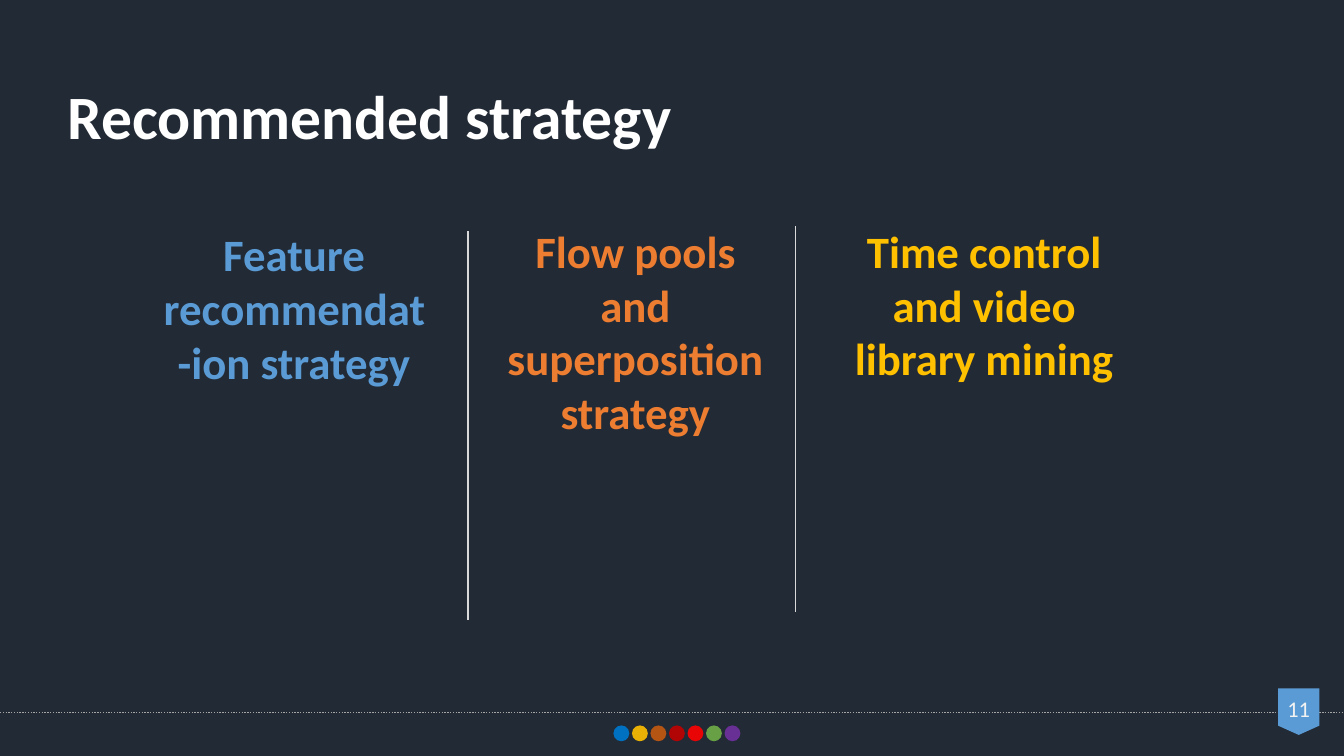
import pptx
import pptx.dml.color
import pptx.enum.dml
import pptx.enum.shapes
import pptx.enum.text
import pptx.oxml.ns
import pptx.util
from lxml import etree

Cm = pptx.util.Cm
Pt = pptx.util.Pt
RGBColor = pptx.dml.color.RGBColor
Shape = pptx.enum.shapes.MSO_SHAPE
Align = pptx.enum.text.PP_ALIGN
qn = pptx.oxml.ns.qn

NIGHT = RGBColor(0x22, 0x2A, 0x35)
WHITE = RGBColor(0xFF, 0xFF, 0xFF)
PALE = RGBColor(0xF2, 0xF2, 0xF2)
LIGHT_GREY = RGBColor(0xD9, 0xD9, 0xD9)
GREY = RGBColor(0xA6, 0xA6, 0xA6)
SKY = RGBColor(0x5B, 0x9B, 0xD5)
ORANGE = RGBColor(0xED, 0x7D, 0x31)
GOLD = RGBColor(0xFF, 0xC0, 0x00)
BLUE = RGBColor(0x00, 0x70, 0xC0)
RUST = RGBColor(0xC5, 0x5A, 0x11)
DARK_RED = RGBColor(0xC0, 0x00, 0x00)
RED = RGBColor(0xFF, 0x00, 0x00)
GREEN = RGBColor(0x70, 0xAD, 0x47)
PURPLE = RGBColor(0x70, 0x30, 0xA0)


class Painter:
    """Holds the type style and the page being drawn."""

    font_name = "Calibri"

    def __init__(self, page):
        self.page = page

    def line(self, left, top, right, bottom, color, dash=None):
        line = self.page.shapes.add_connector(
            pptx.enum.shapes.MSO_CONNECTOR.STRAIGHT,
            Cm(left), Cm(top), Cm(right), Cm(bottom))
        line.line.color.rgb = color
        line.line.width = Pt(1)
        if dash:
            line.line.dash_style = dash
        etree.SubElement(line._element.spPr, qn("a:effectLst"))

    def shape(self, kind, left, top, width, height, color, alpha=100, parent=None):
        shapes = (parent or self.page).shapes
        shape = shapes.add_shape(kind, Cm(left), Cm(top), Cm(width), Cm(height))
        shape.shadow.inherit = False
        shape.fill.solid()
        shape.fill.fore_color.rgb = color
        shape.line.fill.background()
        if alpha < 100:
            tint = shape._element.spPr.find(".//" + qn("a:srgbClr"))
            etree.SubElement(tint, qn("a:alpha"), val=str(alpha * 1000))

    def text(self, words, left, top, width, height, size, color, bold=True,
             align=Align.CENTER, spacing=None, after=None, grow=False):
        box = self.page.shapes.add_textbox(Cm(left), Cm(top), Cm(width), Cm(height))
        frame = box.text_frame
        frame.text = words
        frame.word_wrap = True
        if grow:
            frame.auto_size = pptx.enum.text.MSO_AUTO_SIZE.SHAPE_TO_FIT_TEXT
        para = frame.paragraphs[0]
        para.alignment = align
        para.line_spacing = spacing
        para.space_after = after
        font = para.runs[0].font
        font.name = self.font_name
        font.size = Pt(size)
        font.bold = bold
        font.color.rgb = color


def main():
    deck = pptx.Presentation()
    deck.slide_width, deck.slide_height = Cm(33.87), Cm(19.05)
    page = deck.slides.add_slide(deck.slide_layouts[6])
    page.background.fill.solid()
    page.background.fill.fore_color.rgb = NIGHT
    painter = Painter(page)

    # Footer rule and page number
    painter.line(0, 17.96, 33.87, 17.96, GREY, pptx.enum.dml.MSO_LINE.ROUND_DOT)
    painter.shape(Shape.FLOWCHART_OFFPAGE_CONNECTOR, 32.21, 17.35, 1.04, 1.17, SKY)
    painter.text("11", 31.98, 17.48, 1.5, 0.86, 16, PALE, bold=False,
                 spacing=0.9, grow=True)

    # Row of coloured dots
    dots = page.shapes.add_group_shape()
    dot_colors = [BLUE, GOLD, RUST, DARK_RED, RED, GREEN, PURPLE]
    pitch = 2.8 / (len(dot_colors) - 1)
    for index, color in enumerate(dot_colors):
        painter.shape(Shape.OVAL, 15.46 + index * pitch, 18.28, 0.4, 0.4, color,
                      alpha=90 if index else 100, parent=dots)

    # Title
    painter.text("Recommended strategy", 1.45, 0.91, 24, 2.79, 44, WHITE,
                 align=Align.LEFT, spacing=1.5, grow=True)

    # Column dividers
    for x, top, bottom in [(11.79, 5.82, 15.62), (20.04, 5.69, 15.42)]:
        painter.line(x, top, x, bottom, LIGHT_GREY)

    # Strategy columns
    columns = [
        ("Feature recommendat-ion strategy", 3.78, 5.59, 7.26, 8.48, SKY),
        ("Flow pools and superposition strategy", 12.52, 5.51, 6.99, 8.51, ORANGE),
        ("Time control and video library mining", 21.01, 5.51, 7.59, 10.13, GOLD),
    ]
    for words, left, top, width, height, color in columns:
        painter.text(words, left, top, width, height, 32, color, after=Pt(6))

    deck.save("out.pptx")


if __name__ == "__main__":
    main()
